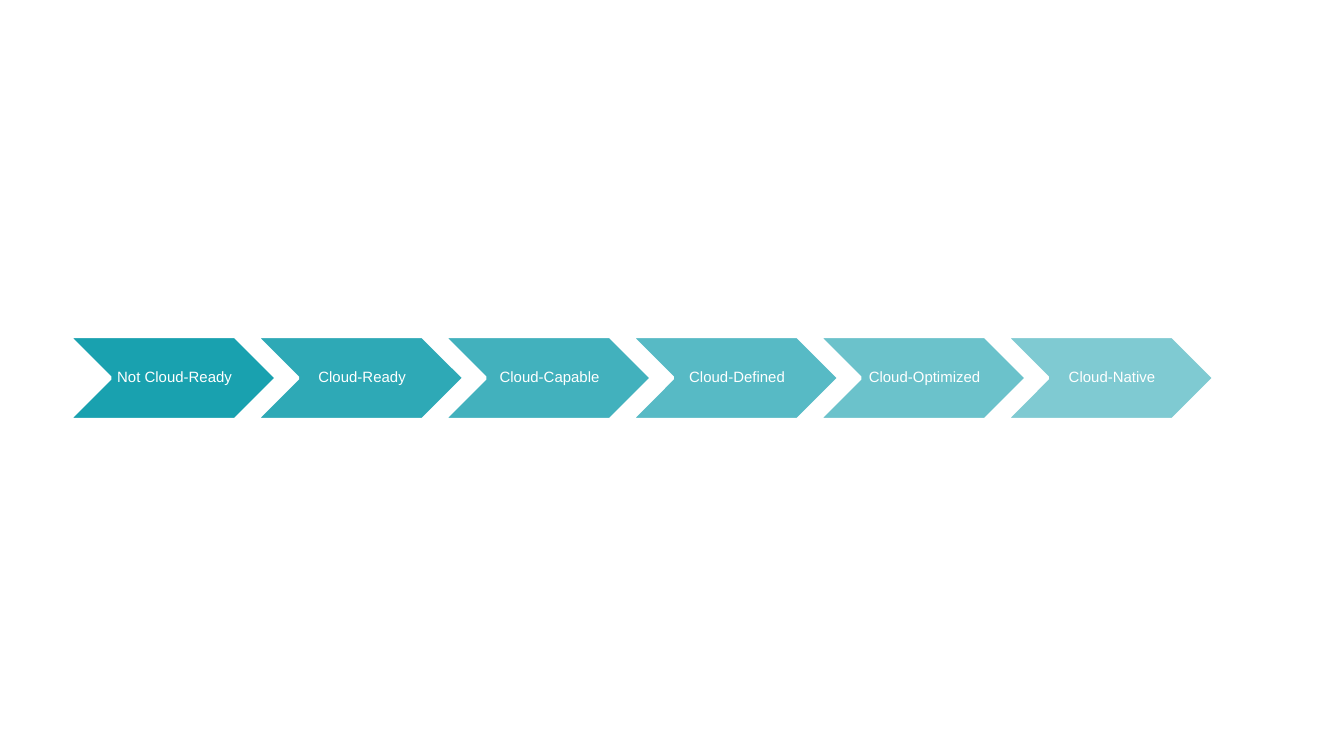
from lxml import etree
from pptx import Presentation, util as u
from pptx.dml.color import RGBColor
from pptx.enum import shapes, text
from pptx.oxml import ns

COLORS = {"teal": "0097A7", "white": "FFFFFF"}
STAGES = ["Not Cloud-Ready", "Cloud-Ready", "Cloud-Capable",
          "Cloud-Defined", "Cloud-Optimized", "Cloud-Native"]
SLIDE_W = 10
SLIDE_H = SLIDE_W * 9 / 16


def rgb(name):
    return RGBColor.from_string(COLORS[name])


def write(tf, content, size=8, font="Arial", color="white", spacing=0.9):
    p = tf.paragraphs[0]
    p.alignment = text.PP_ALIGN.CENTER
    p.line_spacing = spacing
    r = p.add_run()
    r.text = content
    r.font.size = u.Pt(size)
    r.font.name = font
    r.font.color.rgb = rgb(color)


class Deck:
    left = 0.51
    width, height = 1.55, 0.62
    top = (SLIDE_H - height) / 2
    pitch = 0.9 * width

    def __init__(self, prs):
        self.s = prs.slides.add_slide(prs.slide_layouts[6])
        self.group = self.s.shapes.add_group_shape()

    def box(self, col, inset=0):
        lengths = (self.left + col * self.pitch + inset * self.width, self.top,
                   (1 - 2 * inset) * self.width, self.height)
        return [u.Inches(n) for n in lengths]

    def chevron(self, col, opacity):
        sp = self.group.shapes.add_shape(shapes.MSO_SHAPE.CHEVRON, *self.box(col))
        sp.shadow.inherit = False
        sp.fill.solid()
        sp.fill.fore_color.rgb = rgb("teal")
        fill = sp.fill._xPr.find(ns.qn("a:solidFill"))[0]
        etree.SubElement(fill, ns.qn("a:alpha"), val=str(opacity * 1000))
        sp.line.color.rgb = rgb("white")
        sp.line.width = u.Pt(2)

    def label(self, col, content):
        sp = self.group.shapes.add_textbox(*self.box(col, inset=0.2))
        tf = sp.text_frame
        tf.word_wrap = True
        tf.vertical_anchor = text.MSO_ANCHOR.MIDDLE
        tf.margin_left = u.Inches(0.04)
        tf.margin_right = tf.margin_top = tf.margin_bottom = u.Inches(0.01)
        write(tf, content)


def main():
    prs = Presentation()
    prs.slide_width, prs.slide_height = u.Inches(SLIDE_W), u.Inches(SLIDE_H)
    deck = Deck(prs)
    for col, stage in enumerate(STAGES):
        deck.chevron(col, opacity=90 - 8 * col)
        deck.label(col, stage)
    prs.save("out.pptx")


if __name__ == "__main__":
    main()
